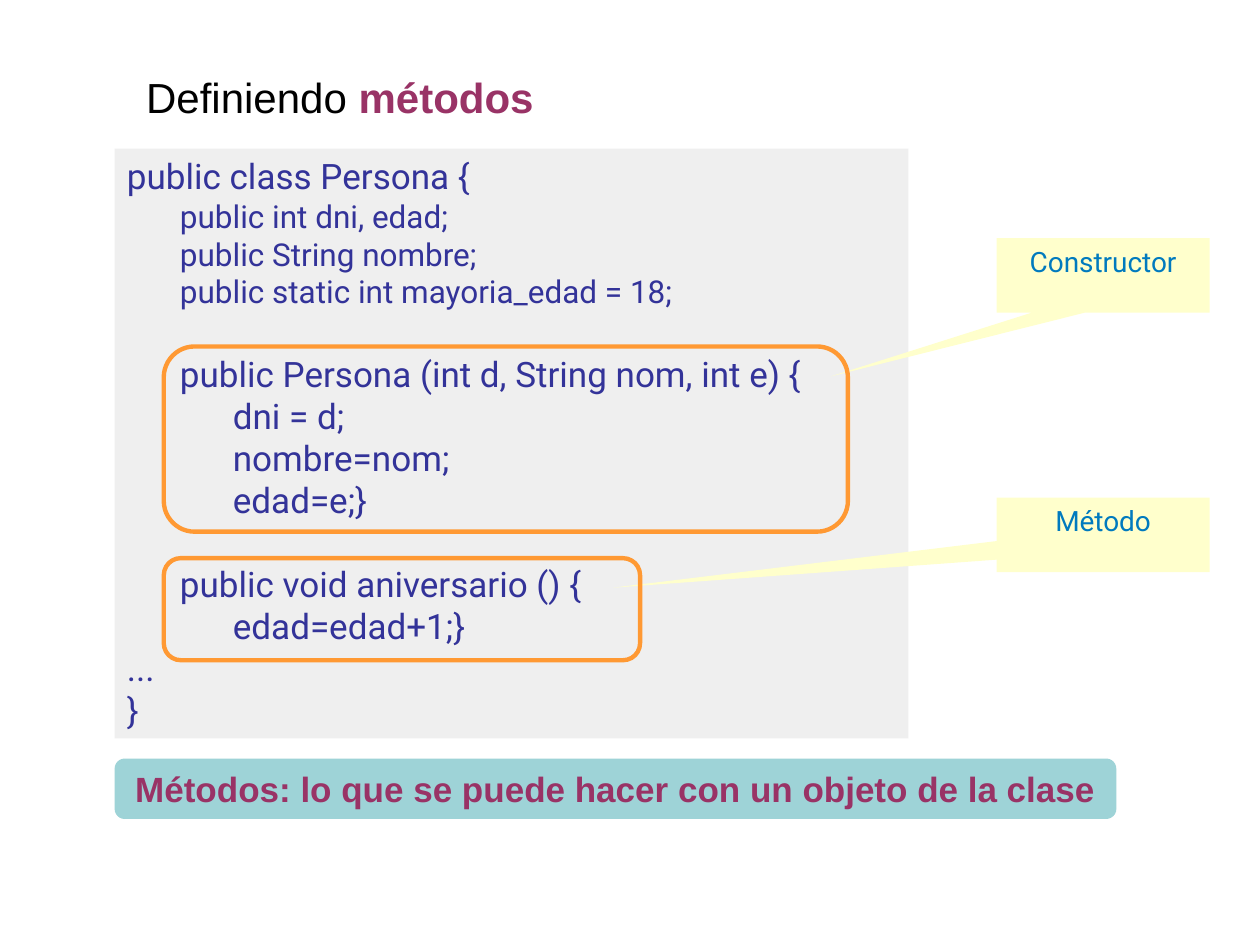
import pptx
import pptx.util
import pptx.dml.color
import pptx.enum.shapes
import pptx.enum.text
import pptx.oxml.ns
import lxml.etree

Inches = pptx.util.Inches
Pt = pptx.util.Pt
SHAPE = pptx.enum.shapes.MSO_SHAPE
ALIGN = pptx.enum.text.PP_ALIGN
ANCHOR = pptx.enum.text.MSO_ANCHOR
COLORS = {
    "black": "000000", "plum": "993366", "code": "333399", "panel": "EAEAEA",
    "teal": "9ED3D7", "note": "FFFFCC", "label": "007ABE", "frame": "FF9933",
}


def color(name):
    return pptx.dml.color.RGBColor.from_string(COLORS[name])


def add_box(kind, left, top, width, height, fill=None, line=None):
    box = page.shapes.add_shape(
        kind, Inches(left), Inches(top), Inches(width), Inches(height))
    box.shadow.inherit = False
    if fill:
        box.fill.solid()
        box.fill.fore_color.rgb = color(fill)
    else:
        box.fill.background()
    if line:
        box.line.color.rgb = color(line)
        box.line.width = Pt(2.5)
    else:
        box.line.fill.background()
    box.text_frame.word_wrap = True
    box.text_frame.vertical_anchor = ANCHOR.TOP
    return box


def add_run(para, text, size, font, ink, bold=False):
    span = para.add_run()
    span.text = text
    span.font.size = Pt(size)
    span.font.name = font
    span.font.bold = bold
    span.font.color.rgb = color(ink)


deck = pptx.Presentation()
deck.slide_width, deck.slide_height = Inches(10), Inches(7.5)
page = deck.slides.add_slide(deck.slide_layouts[5])

# Title
title = page.shapes.title
title.left, title.top = Inches(1.06), Inches(0.52)
title.width, title.height = Inches(6.61), Inches(0.5)
title.text_frame.auto_size = pptx.enum.text.MSO_AUTO_SIZE.NONE
title.text_frame.vertical_anchor = ANCHOR.MIDDLE
para = title.text_frame.paragraphs[0]
para.alignment = ALIGN.LEFT
add_run(para, "Definiendo ", 24, "Arial", "black")
add_run(para, "métodos", 24, "Arial", "plum", bold=True)

# Code panel: indent level, size, space before, text
code_lines = [
    (0, 20, 0, "public class Persona {"),
    (1, 18, 0, "public int dni, edad;"),
    (1, 18, 0, "public String nombre;"),
    (1, 18, 0, "public static int mayoria_edad = 18;"),
    (1, 20, 24, "public Persona (int d, String nom, int e) {"),
    (2, 20, 0, "dni = d;"),
    (2, 20, 0, "nombre=nom;"),
    (2, 20, 0, "edad=e;}"),
    (1, 20, 24, "public void aniversario () {"),
    (2, 20, 0, "edad=edad+1;}"),
    (0, 20, 0, "..."),
    (0, 20, 0, "}"),
]
panel = add_box(SHAPE.RECTANGLE, 0.91, 1.18, 6.3, 4.68, fill="panel")
fill_color = panel.fill._xPr.find(".//" + pptx.oxml.ns.qn("a:srgbClr"))
lxml.etree.SubElement(fill_color, pptx.oxml.ns.qn("a:alpha"), val="75000")
for index, (level, size, gap, text) in enumerate(code_lines):
    frame = panel.text_frame
    para = frame.add_paragraph() if index else frame.paragraphs[0]
    para.alignment = ALIGN.LEFT
    para.space_before = Pt(gap)
    para._p.get_or_add_pPr().set("marL", str(Inches(0.42 * level)))
    add_run(para, text, size, "Roboto", "code")

# Summary bar
bar = add_box(SHAPE.ROUNDED_RECTANGLE, 0.91, 6.02, 7.95, 0.48, fill="teal")
bar.text_frame.vertical_anchor = ANCHOR.MIDDLE
para = bar.text_frame.paragraphs[0]
para.alignment = ALIGN.CENTER
add_run(para, "Métodos: lo que se puede hacer con un objeto de la clase",
        20, "Arial", "plum", bold=True)

# Callouts: label, top, pointer offset
for label, top, pointer in [("Constructor", 1.89, (-1.28, 1.36)),
                            ("Método", 3.95, (-2.3, 0.71))]:
    callout = add_box(SHAPE.RECTANGULAR_CALLOUT, 7.91, top, 1.69, 0.59, fill="note")
    callout.adjustments[0], callout.adjustments[1] = pointer
    para = callout.text_frame.paragraphs[0]
    para.alignment = ALIGN.CENTER
    add_run(para, label, 16, "Roboto", "label")

# Frames around the constructor and the method
for top, width, height in [(2.75, 5.43, 1.47), (4.43, 3.78, 0.81)]:
    add_box(SHAPE.ROUNDED_RECTANGLE, 1.3, top, width, height, line="frame")

deck.save("out.pptx")
